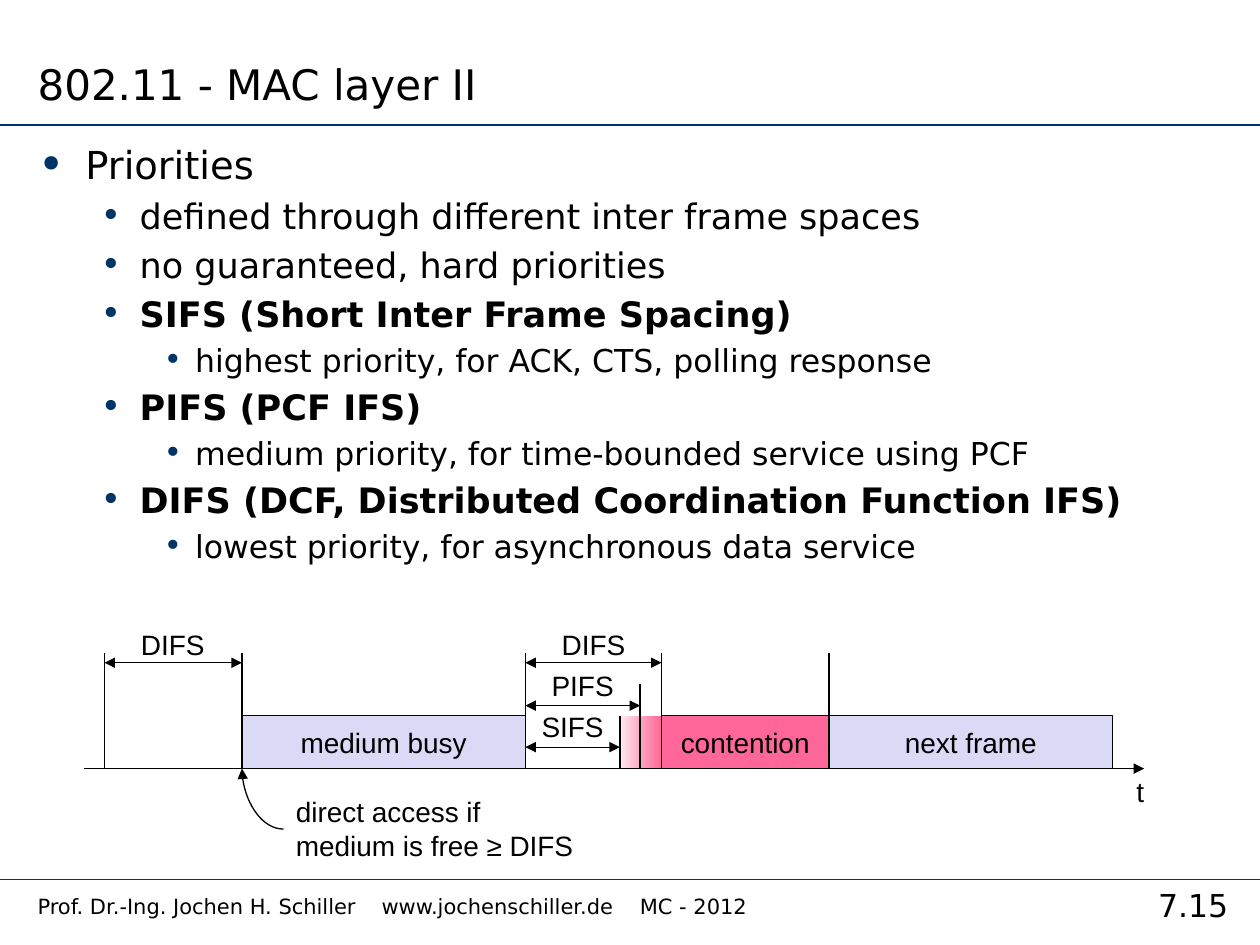
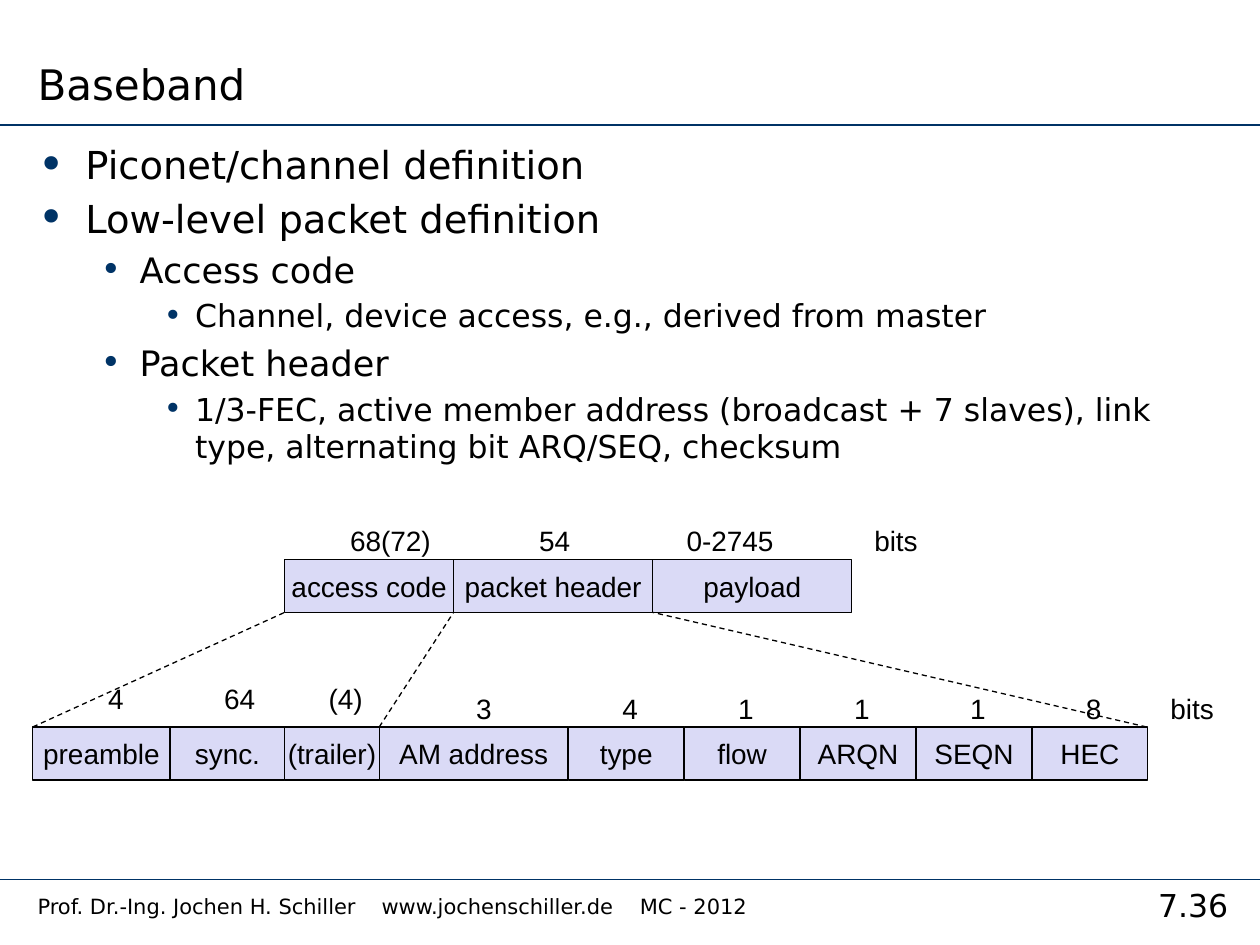
from lxml import etree
from pptx import Presentation
from pptx.dml.color import RGBColor
from pptx.enum.dml import MSO_LINE
from pptx.enum.shapes import MSO_CONNECTOR, MSO_SHAPE
from pptx.enum.text import MSO_ANCHOR, MSO_AUTO_SIZE, PP_ALIGN
from pptx.oxml.ns import qn
from pptx.util import Inches, Pt

RECT = MSO_SHAPE.RECTANGLE
STRAIGHT, CURVE = MSO_CONNECTOR.STRAIGHT, MSO_CONNECTOR.CURVE
DASH = MSO_LINE.DASH
TOP, MIDDLE, BOTTOM = MSO_ANCHOR.TOP, MSO_ANCHOR.MIDDLE, MSO_ANCHOR.BOTTOM
LEFT, CENTER = PP_ALIGN.LEFT, PP_ALIGN.CENTER
GROW, FIXED = MSO_AUTO_SIZE.SHAPE_TO_FIT_TEXT, MSO_AUTO_SIZE.NONE

COLORS = {"navy": "003366", "black": "000000", "lilac": "DADAF6",
          "pink": "FF6699", "blush": "FFEAEF"}
RGB = {name: RGBColor.from_string(code) for name, code in COLORS.items()}
SANS, ARIAL = "DejaVu Sans", "Arial"
FOOTER = "Prof. Dr.-Ing. Jochen H. Schiller\twww.jochenschiller.de\tMC - 2012"
LEVELS = [(22, 0.38, -0.38, 120), (20, 0.81, -0.31, 100), (18, 1.25, -0.25, 100)]


def put(slide, x, y, w, h, words, size=16, font=ARIAL, fill=None,
        anchor=TOP, align=LEFT, wrap=False, fit=GROW):
    at = Inches(x), Inches(y), Inches(w), Inches(h)
    if fill:
        box = slide.shapes.add_shape(RECT, *at)
        box.shadow.inherit = False
        box.fill.solid()
        box.fill.fore_color.rgb = RGB[fill]
        box.line.color.rgb = RGB["black"]
        box.line.width = Pt(0.75)
        anchor, align, fit = MIDDLE, CENTER, FIXED
    else:
        box = slide.shapes.add_textbox(*at)
    frame = box.text_frame
    frame.word_wrap = wrap
    frame.auto_size = fit
    frame.vertical_anchor = anchor
    para = frame.paragraphs[0]
    para.text = words
    para.alignment = align
    for run in para.runs:
        run.font.size = Pt(size)
        run.font.name = font
        run.font.color.rgb = RGB["black"]
    return box


def wire(slide, x1, y1, x2, y2, ends=(), color="black", width=0.75, kind=STRAIGHT):
    link = slide.shapes.add_connector(kind, Inches(x1), Inches(y1), Inches(x2), Inches(y2))
    link.line.color.rgb = RGB[color]
    link.line.width = Pt(width)
    for end in ends:
        etree.SubElement(link.line._ln, qn("a:" + end), type="triangle")
    etree.SubElement(link._element.spPr, qn("a:effectLst"))
    return link


deck = Presentation()
deck.slide_width, deck.slide_height = Inches(10), Inches(7.5)

pages = [
    ("802.11 - MAC layer II", "7.15", 3.32, [
        (0, "Priorities", False),
        (1, "defined through different inter frame spaces", False),
        (1, "no guaranteed, hard priorities", False),
        (1, "SIFS (Short Inter Frame Spacing)", True),
        (2, "highest priority, for ACK, CTS, polling response", False),
        (1, "PIFS (PCF IFS)", True),
        (2, "medium priority, for time-bounded service using PCF", False),
        (1, "DIFS (DCF, Distributed Coordination Function IFS)", True),
        (2, "lowest priority, for asynchronous data service", False)]),
    ("Baseband", "7.36", 5.85, [
        (0, "Piconet/channel definition", False),
        (0, "Low-level packet definition", False),
        (1, "Access code", False),
        (2, "Channel, device access, e.g., derived from master", False),
        (1, "Packet header", False),
        (2, "1/3-FEC, active member address (broadcast + 7 slaves), link type, "
            "alternating bit ARQ/SEQ, checksum", False)]),
]

slides = []
for title, number, tall, points in pages:
    slide = deck.slides.add_slide(deck.slide_layouts[6])
    slides.append(slide)
    for y in (0.99, 6.98):
        wire(slide, 0, y, 10, y, color="navy", width=1)
    put(slide, 8.94, 6.98, 1.06, 0.4, number, 18, SANS, align=CENTER, wrap=True)
    foot = put(slide, 0.2, 7.04, 8.74, 0.33, FOOTER, 12, SANS, wrap=True, fit=FIXED)
    stops = etree.SubElement(foot.text_frame.paragraphs[0]._p.get_or_add_pPr(), qn("a:tabLst"))
    for stop in (2.73, 4.78):
        etree.SubElement(stops, qn("a:tab"), pos=str(Inches(stop)), algn="l")
    put(slide, 0.2, 0, 6.61, 0.91, title, 24, SANS, anchor=BOTTOM, wrap=True, fit=FIXED)

    body = slide.shapes.add_textbox(Inches(0.2), Inches(1.07), Inches(9.61), Inches(tall))
    frame = body.text_frame
    frame.word_wrap = True
    frame.text = "\n".join(words for _, words, _ in points)
    for para, (level, _, bold) in zip(frame.paragraphs, points):
        size, margin, indent, scale = LEVELS[level]
        para.level = level
        font = para.runs[0].font
        font.size, font.name, font.bold = Pt(size), SANS, bold
        font.color.rgb = RGB["black"]
        props = para._p.get_or_add_pPr()
        props.set("marL", str(Inches(margin)))
        props.set("indent", str(Inches(indent)))
        space = etree.SubElement(props, qn("a:spcBef"))
        etree.SubElement(space, qn("a:spcPct"), val="20000")
        tint = etree.SubElement(props, qn("a:buClr"))
        etree.SubElement(tint, qn("a:srgbClr"), val=COLORS["navy"])
        etree.SubElement(props, qn("a:buSzPct"), val=str(scale * 1000))
        etree.SubElement(props, qn("a:buFont"), typeface=SANS)
        etree.SubElement(props, qn("a:buChar"), char="•")

timing, packet = slides

axis = 6.1
fade = timing.shapes.add_shape(RECT, Inches(4.92), Inches(5.68), Inches(0.33), Inches(0.42))
fade.shadow.inherit = False
fade.line.fill.background()
fade.fill.gradient()
fade.fill.gradient_angle = 0
for stop, name in zip(fade.fill.gradient_stops, ("blush", "pink")):
    stop.color.rgb = RGB[name]

wire(timing, 0.67, axis, 9.08, axis, ["tailEnd"])
put(timing, 8.92, axis, 0.26, 0.37, "t")
for x, wide, words, fill in [(1.92, 2.25, "medium busy", "lilac"),
                             (6.58, 2.25, "next frame", "lilac"),
                             (5.25, 1.33, "contention", "pink")]:
    put(timing, x, 5.68, wide, 0.42, words, fill=fill)
for x, top in [(0.83, 5.18), (1.92, 5.18), (4.17, 5.18), (5.25, 5.18),
               (6.58, 5.18), (5.08, 5.43), (4.92, 5.68)]:
    wire(timing, x, axis, x, top)
for start, end, y, words, x, top, wide in [
        (0.83, 1.92, 5.26, "DIFS", 1.02, 4.93, 0.71),
        (4.17, 5.25, 5.26, "DIFS", 4.36, 4.93, 0.71),
        (4.17, 5.08, 5.6, "PIFS", 4.28, 5.26, 0.69),
        (4.17, 4.92, 5.93, "SIFS", 4.2, 5.58, 0.69)]:
    wire(timing, start, y, end, y, ["headEnd", "tailEnd"])
    put(timing, x, top, wide, 0.37, words)
put(timing, 2.25, 6.26, 2.41, 0.64, "direct access if\nmedium is free ≥ DIFS")
curve = wire(timing, 1.92, axis, 2.25, 6.58, ["tailEnd"], kind=CURVE)
curve._element.spPr.find(qn("a:prstGeom")).set("prst", "curvedConnector2")
curve._element.spPr.find(qn("a:xfrm")).set("rot", "10800000")

rows = [
    (2.26, 4.44, [("access code", 1.34, "68(72)", 0.42, 0.33, 0.84),
                  ("packet header", 1.58, "54", 0.58, 0.33, 0.45),
                  ("payload", 1.58, "0-2745", 0.17, 0.33, 0.89)]),
    (0.26, 5.77, [("preamble", 1.09, "4", 0.5, 0.41, 0.32),
                  ("sync.", 0.91, "64", 0.33, 0.41, 0.45),
                  ("(trailer)", 0.75, "(4)", 0.25, 0.41, 0.47),
                  ("AM address", 1.5, "3", 0.67, 0.33, 0.32)]
     + [(name, 0.92, bits, 0.33, 0.33, 0.32) for name, bits in
        [("type", "4"), ("flow", "1"), ("ARQN", "1"), ("SEQN", "1"), ("HEC", "8")]]),
]
for x, y, fields in rows:
    for name, wide, bits, shift, lift, span in fields:
        put(packet, x, y, wide, 0.42, name, fill="lilac")
        put(packet, x + shift, y - lift, span, 0.37, bits)
        x += wide
    put(packet, x + 0.08, y - 0.33, 0.55, 0.37, "bits")
for low, high in [(0.26, 2.26), (3.01, 3.6), (9.1, 5.18)]:
    wire(packet, low, 5.77, high, 4.86).line.dash_style = DASH

deck.save("out.pptx")
